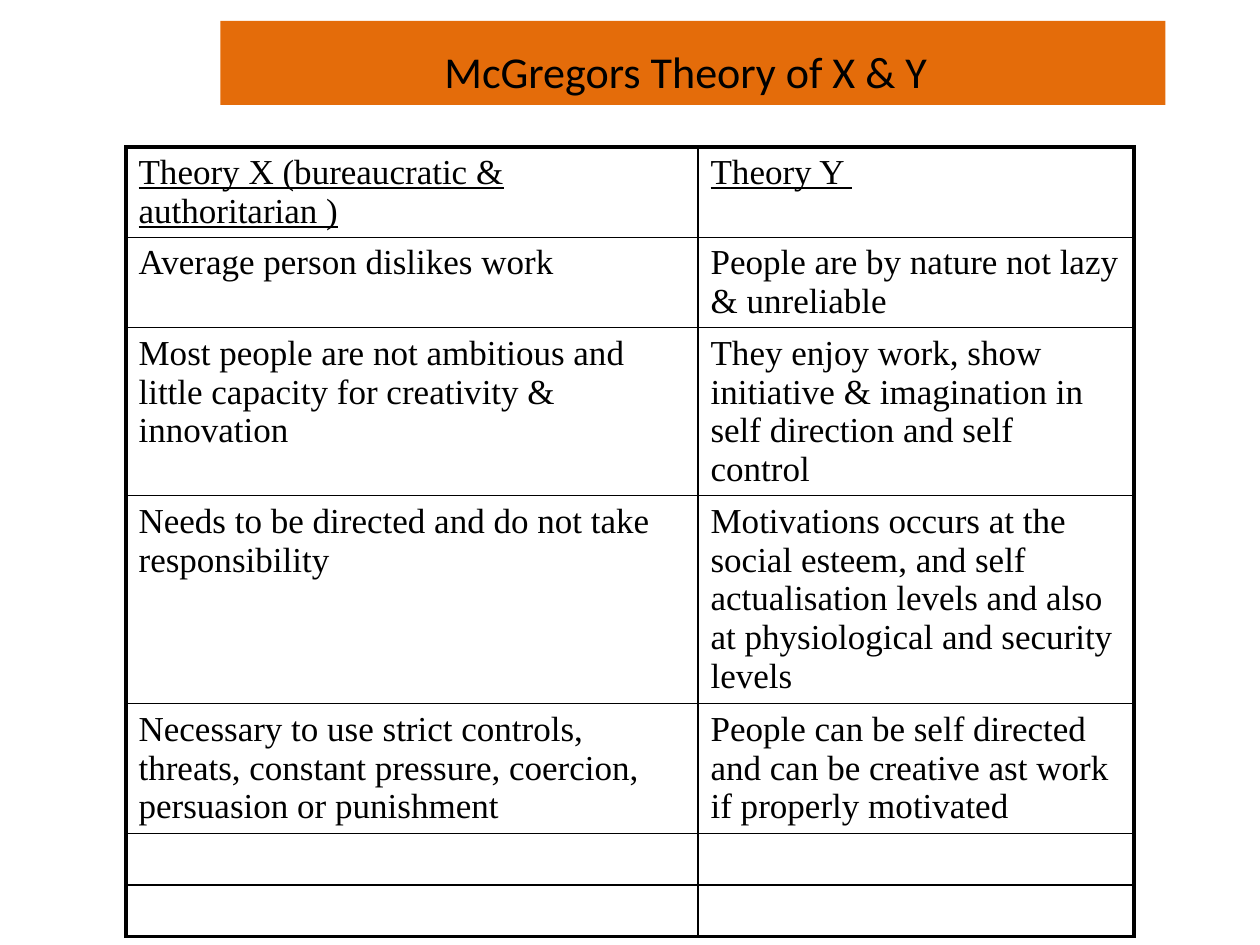
from lxml import etree
from pptx import Presentation
from pptx.enum.shapes import MSO_SHAPE
from pptx.enum.text import MSO_ANCHOR, PP_ALIGN
from pptx.oxml.ns import qn
from pptx.util import Inches, Pt
from pptx.dml.color import RGBColor

RECT = MSO_SHAPE.RECTANGLE
MIDDLE = MSO_ANCHOR.MIDDLE
LEFT, CENTER = PP_ALIGN.LEFT, PP_ALIGN.CENTER

COLORS = {"banner": "E46C0A", "ink": "000000"}
COLS, ROWS = 40, 45
THIN, THICK = 1, 2.25

THEORIES = [
    ("Theory X (bureaucratic & authoritarian )", "Theory Y "),
    ("Average person dislikes work",
     "People are by nature not lazy & unreliable"),
    ("Most people are not ambitious and little capacity for creativity & innovation",
     "They enjoy work, show initiative & imagination in self direction and self control"),
    ("Needs to be directed and do not take responsibility",
     "Motivations occurs at the social esteem, and self actualisation levels "
     "and also at physiological and security levels"),
    ("Necessary to use strict controls, threats, constant pressure, coercion, "
     "persuasion or punishment",
     "People can be self directed and can be creative ast work if properly motivated"),
    ("", ""),
    ("", ""),
]


def rgb(name):
    return RGBColor.from_string(COLORS[name])


def add_text(p, text, size=20, font="Times New Roman", color="ink",
             underline=False, align=LEFT):
    p.alignment = align
    r = p.add_run()
    r.text = text
    r.font.size = Pt(size)
    r.font.name = font
    r.font.underline = underline
    r.font.color.rgb = rgb(color)


def set_borders(cell, **widths):
    """Draw solid cell edges; the fill must be set afterwards."""
    tc_pr = cell._tc.get_or_add_tcPr()
    for side in ("L", "R", "T", "B"):
        ln = etree.SubElement(tc_pr, qn(f"a:ln{side}"), w=str(Pt(widths[side])))
        fill = etree.SubElement(ln, qn("a:solidFill"))
        etree.SubElement(fill, qn("a:srgbClr"), val=COLORS["ink"])


class Deck:
    def __init__(self, width=10, height=7.5):
        self.prs = Presentation()
        self.prs.slide_width = Inches(width)
        self.prs.slide_height = Inches(height)
        self.s = self.prs.slides.add_slide(self.prs.slide_layouts[6])

    def x(self, cols):
        return int(self.prs.slide_width * cols / COLS)

    def y(self, rows):
        return int(self.prs.slide_height * rows / ROWS)

    def box(self, col, row, cols, rows):
        return self.x(col), self.y(row), self.x(cols), self.y(rows)

    def banner(self, text, *place):
        sp = self.s.shapes.add_shape(RECT, *self.box(*place))
        sp.shadow.inherit = False
        sp.fill.solid()
        sp.fill.fore_color.rgb = rgb("banner")
        sp.line.fill.background()
        tf = sp.text_frame
        tf.word_wrap = True
        tf.vertical_anchor = MIDDLE
        p = tf.paragraphs[0]
        add_text(p, text, size=25.2, font="Calibri", align=CENTER)
        # The larger closing space sets the line height of the title
        add_text(p, " ", size=36, font="Calibri", align=CENTER)

    def table(self, data, col, row, widths, heights):
        place = self.box(col, row, sum(widths), sum(heights))
        table = self.s.shapes.add_table(len(heights), len(widths), *place).table
        table.first_row = table.horz_banding = False
        for column, width in zip(table.columns, widths):
            column.width = self.x(width)
        last_row, last_col = len(heights) - 1, len(widths) - 1
        for i, texts in enumerate(data):
            table.rows[i].height = self.y(heights[i])
            for j, text in enumerate(texts):
                cell = table.cell(i, j)
                set_borders(cell,
                            L=THIN if j else THICK,
                            R=THICK if j == last_col else THIN,
                            T=THIN if i else THICK,
                            B=THICK if i == last_row else THIN)
                cell.fill.background()
                if text:
                    add_text(cell.text_frame.paragraphs[0], text, underline=i == 0)


def main():
    deck = Deck()
    deck.banner("McGregors Theory of X & Y", 7, 1, 30, 4)
    deck.table(THEORIES, 4, 7, widths=(18.16, 13.84),
               heights=(4.3, 4.3, 8, 9.9, 6.2, 2.45, 2.45))
    deck.prs.save("out.pptx")


if __name__ == "__main__":
    main()
